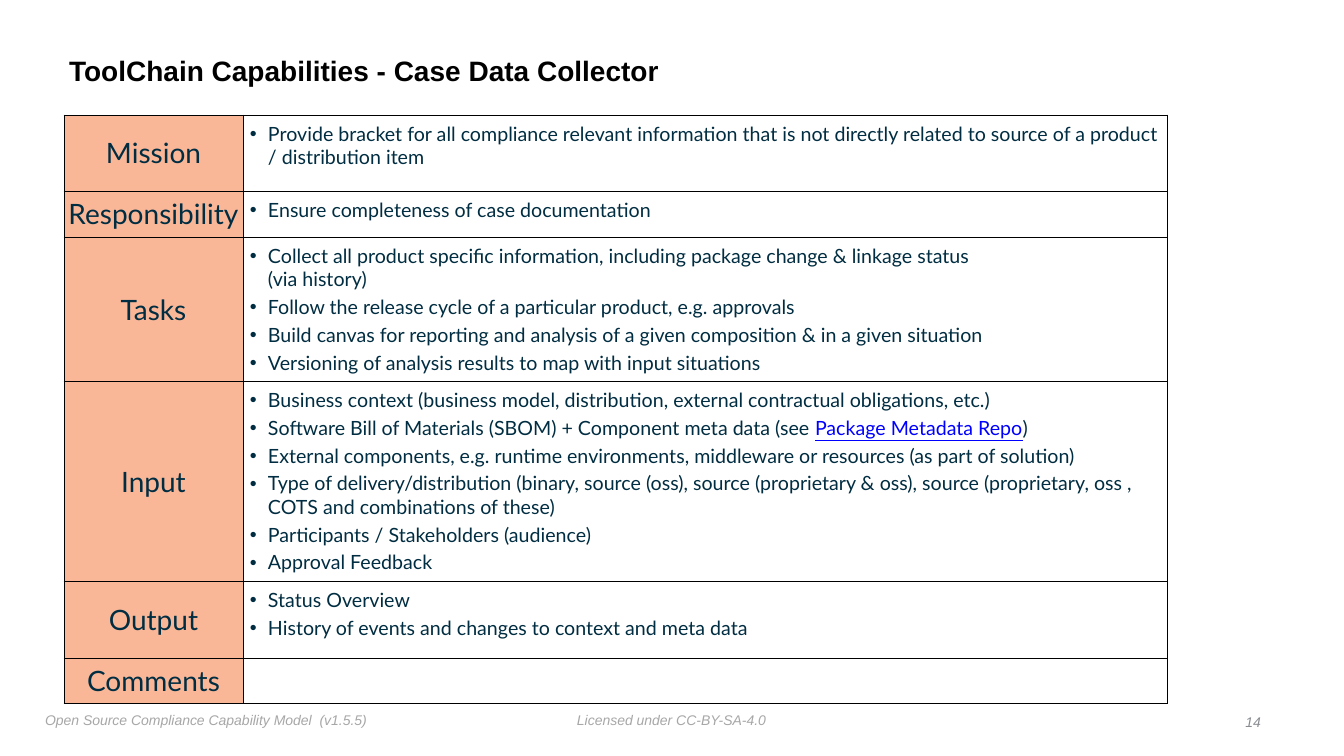
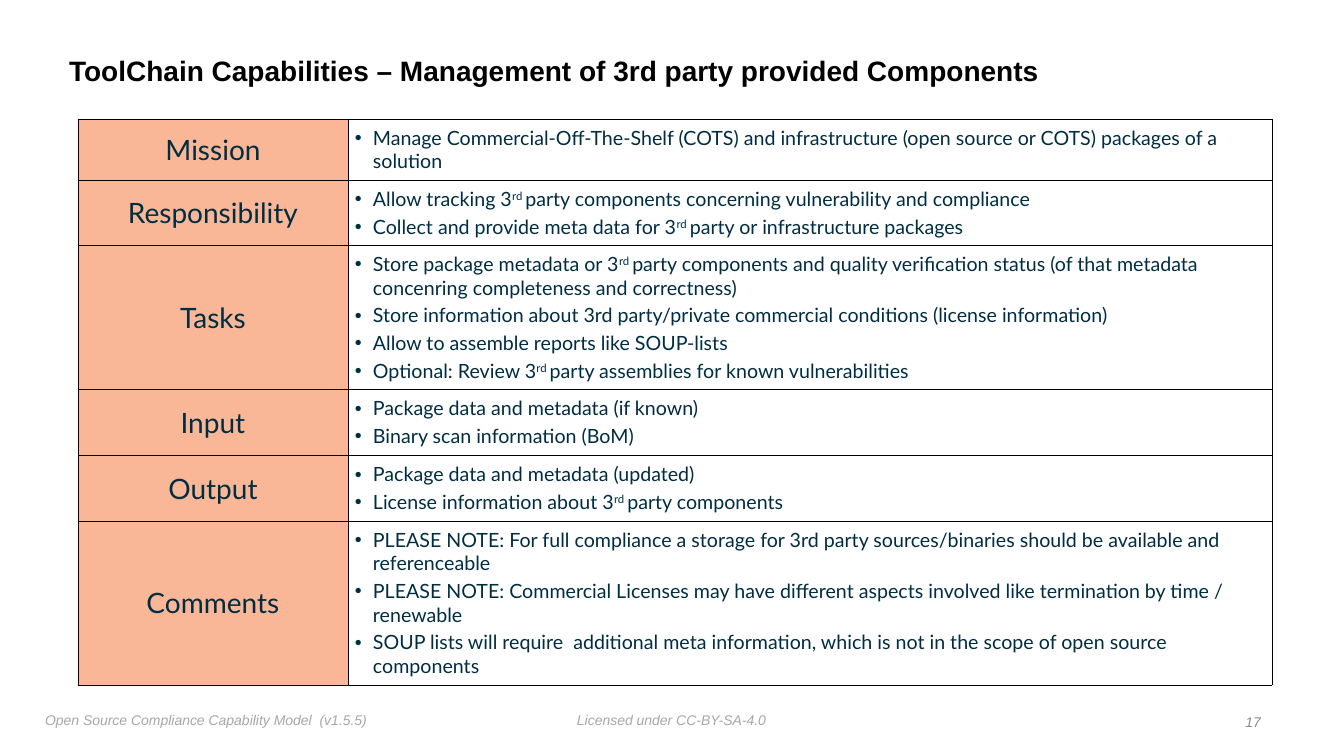
"""Builds two capability tables of the compliance tool chain."""
from lxml import etree
from pptx import Presentation
from pptx import util as u
from pptx.dml.color import RGBColor
from pptx.enum import text
from pptx.oxml import ns

THEME = {
    "heading": {"name": "Arial", "size": 20, "color": "000000", "bold": True},
    "label": {"name": "Lato", "size": 20, "color": "002D41"},
    "body": {"name": "Lato", "size": 14, "color": "002D41"},
    "link": {"name": "Lato", "size": 14, "color": "0000FF", "underline": True},
    "footer": {"name": "Arial", "size": 10, "color": "A7A7A7", "italic": True},
    "number": {"name": "Arial", "size": 10, "color": "888C91", "italic": True},
    "label_fill": "FAB798",
    "body_fill": "FFFFFF",
    "border": "000000",
}
SLIDE_SIZE = (1344, 756)
TITLE_BOX = (64, 39, 1084, 66)
NUMBER_BOX = (1226, 709, 40, 25)
FOOTERS = [
    ("Licensed under CC-BY-SA-4.0", (572, 707, 220, 25)),
    ("Open Source Compliance Capability Model  (v1.5.5)", (40, 707, 360, 25)),
]
BODY_WIDTH, INSET, CELL_INSET, INDENT = 924, 5, 7, 18
BORDER_PT, BULLET_GAP_PT = 0.5, 3
BREAK = "\n"
RD = ("rd ", "superscript")

SLIDES = [
    {
        "title": "ToolChain Capabilities - Case Data Collector",
        "number": "14",
        "origin": (64, 115),
        "label_width": 179,
        "rows": [
            ("Mission", 76, [
                "Provide bracket for all compliance relevant information that is not directly "
                "related to source of a product / distribution item"]),
            ("Responsibility", 46, ["Ensure completeness of case documentation"]),
            ("Tasks", 144, [
                ("Collect all product specific information, including package change & linkage "
                 "status", BREAK, "(via history)"),
                "Follow the release cycle of a particular product, e.g. approvals",
                "Build canvas for reporting and analysis of a given composition & in a given "
                "situation",
                "Versioning of analysis results to map with input situations"]),
            ("Input", 200, [
                "Business context (business model, distribution, external contractual "
                "obligations, etc.)",
                ("Software Bill of Materials (SBOM) + Component meta data (see ",
                 ("Package Metadata Repo", "link"), ")"),
                "External components, e.g. runtime environments, middleware or resources "
                "(as part of solution)",
                "Type of delivery/distribution (binary, source (oss), source (proprietary & "
                "oss), source (proprietary, oss , COTS and combinations of these)",
                "Participants / Stakeholders (audience)",
                "Approval Feedback"]),
            ("Output", 77, [
                "Status Overview",
                "History of events and changes to context and meta data"]),
            ("Comments", 45, []),
        ],
    },
    {
        "title": "ToolChain Capabilities – Management of 3rd party provided Components",
        "number": "17",
        "origin": (78, 119),
        "label_width": 270,
        "rows": [
            ("Mission", 61, [
                "Manage Commercial-Off-The-Shelf (COTS) and infrastructure (open source or "
                "COTS) packages of a solution"]),
            ("Responsibility", 65, [
                ("Allow tracking 3", RD,
                 "party components concerning vulnerability and compliance"),
                ("Collect and provide meta data for 3", RD,
                 "party or infrastructure packages")]),
            ("Tasks", 144, [
                ("Store package metadata or 3", RD,
                 "party components and quality verification status (of that metadata "
                 "concenring completeness and correctness)"),
                "Store information about 3rd party/private commercial conditions (license "
                "information)",
                "Allow to assemble reports like SOUP-lists",
                ("Optional: Review 3", RD, "party assemblies for known vulnerabilities")]),
            ("Input", 66, [
                "Package data and metadata (if known)",
                "Binary scan information (BoM)"]),
            ("Output", 65, [
                "Package data and metadata (updated)",
                ("License information about 3", RD, "party components")]),
            ("Comments", 164, [
                "PLEASE NOTE: For full compliance a storage for 3rd party sources/binaries "
                "should be available and referenceable",
                "PLEASE NOTE: Commercial Licenses may have different aspects involved like "
                "termination by time / renewable",
                "SOUP lists will require  additional meta information, which is not in the "
                "scope of open source components"]),
        ],
    },
]


def px(n):
    return u.Emu(round(n * 914400 / 100.8))


def set_all(obj, values):
    for name, value in values.items():
        setattr(obj, name, value)


def margins(n):
    return {f"margin_{side}": px(n) for side in ("left", "top", "right", "bottom")}


def add_run(p, words, style):
    r = p.add_run()
    r.text = words
    values = dict(THEME[style])
    r.font.color.rgb = RGBColor.from_string(values.pop("color"))
    values["size"] = u.Pt(values["size"])
    set_all(r.font, values)
    return r


def add_element(parent, tag, **attributes):
    return etree.SubElement(parent, ns.qn(tag), attributes)


def add_label(slide, words, box, style, align=text.PP_ALIGN.LEFT):
    tf = slide.shapes.add_textbox(*map(px, box)).text_frame
    set_all(tf, {"word_wrap": True, **margins(INSET)})
    p = tf.paragraphs[0]
    p.alignment = align
    add_run(p, words, style)


def add_title(slide, words):
    sp = slide.shapes.title
    set_all(sp, dict(zip(("left", "top", "width", "height"), map(px, TITLE_BOX))))
    tf = sp.text_frame
    set_all(tf, {"word_wrap": True, "auto_size": text.MSO_AUTO_SIZE.NONE,
                 "vertical_anchor": text.MSO_ANCHOR.MIDDLE, **margins(INSET)})
    p = tf.paragraphs[0]
    set_all(p, {"alignment": text.PP_ALIGN.LEFT, "line_spacing": 0.9})
    add_run(p, words, "heading")


def format_cell(cell, fill, anchor, inset):
    set_all(cell, {"vertical_anchor": anchor, **margins(inset)})
    tc_pr = cell._tc.get_or_add_tcPr()
    for side in "LRTB":
        ln = add_element(tc_pr, f"a:ln{side}", w=str(u.Pt(BORDER_PT)))
        add_element(add_element(ln, "a:solidFill"), "a:srgbClr", val=THEME["border"])
    cell.fill.solid()
    cell.fill.fore_color.rgb = RGBColor.from_string(THEME[fill])


def add_bullet(p, parts):
    p_pr = p._p.get_or_add_pPr()
    set_all(p, {"alignment": text.PP_ALIGN.LEFT})
    p_pr.set("marL", str(px(INDENT)))
    p_pr.set("indent", str(-px(INDENT)))
    add_element(p_pr, "a:buFont", typeface="Arial")
    add_element(p_pr, "a:buChar", char="•")
    for part in (parts,) if isinstance(parts, str) else parts:
        words, kind = (part, "body") if isinstance(part, str) else part
        if words == BREAK:
            p.add_line_break()
        elif kind == "superscript":
            r = add_run(p, words, "body")
            r._r.get_or_add_rPr().set("baseline", "30000")
        else:
            add_run(p, words, kind)


def add_capabilities(slide, origin, label_width, rows):
    widths = (label_width, BODY_WIDTH)
    size = (sum(widths), sum(height for _, height, _ in rows))
    table = slide.shapes.add_table(len(rows), 2, *map(px, origin + size)).table
    set_all(table, {"first_row": False, "horz_banding": False})
    for column, width in zip(table.columns, widths):
        column.width = px(width)
    for row, (label, height, bullets) in zip(table.rows, rows):
        row.height = px(height)
        name, body = row.cells
        format_cell(name, "label_fill", text.MSO_ANCHOR.MIDDLE, 0)
        format_cell(body, "body_fill", text.MSO_ANCHOR.TOP, CELL_INSET)
        p = name.text_frame.paragraphs[0]
        p.alignment = text.PP_ALIGN.CENTER
        add_run(p, label, "label")
        tf = body.text_frame
        for i, parts in enumerate(bullets):
            p = tf.add_paragraph() if i else tf.paragraphs[0]
            if i:
                p.space_before = u.Pt(BULLET_GAP_PT)
            add_bullet(p, parts)


def main():
    prs = Presentation()
    prs.slide_width, prs.slide_height = map(px, SLIDE_SIZE)
    for s in SLIDES:
        slide = prs.slides.add_slide(prs.slide_layouts[5])
        for words, box in FOOTERS:
            add_label(slide, words, box, "footer")
        add_title(slide, s["title"])
        add_capabilities(slide, s["origin"], s["label_width"], s["rows"])
        add_label(slide, s["number"], NUMBER_BOX, "number", text.PP_ALIGN.RIGHT)
    prs.save("out.pptx")


if __name__ == "__main__":
    main()
